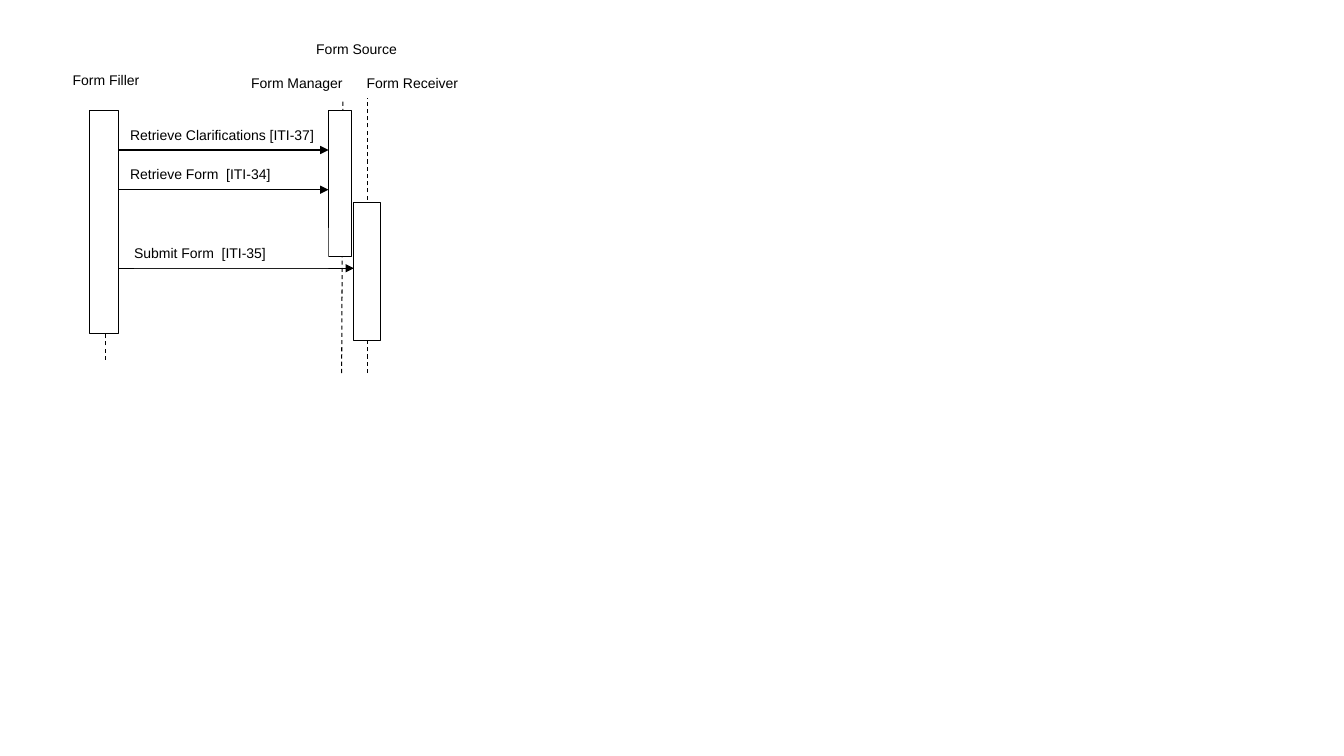
from pptx import Presentation
from pptx.dml.color import RGBColor
from pptx.enum.dml import MSO_LINE
from pptx.enum.shapes import MSO_CONNECTOR, MSO_SHAPE
from pptx.enum.text import MSO_ANCHOR, PP_ALIGN
from pptx.oxml.ns import qn
from pptx.util import Cm, Pt
from lxml import etree

BLACK = RGBColor(0, 0, 0)
WHITE = RGBColor(255, 255, 255)
RECT = MSO_SHAPE.RECTANGLE
STRAIGHT = MSO_CONNECTOR.STRAIGHT
DASH = MSO_LINE.DASH
LEFT = PP_ALIGN.LEFT
CENTER = PP_ALIGN.CENTER
TOP = MSO_ANCHOR.TOP

FILLER_EDGE = 3
MANAGER_EDGE = 8.28
RECEIVER_EDGE = 8.92


def add_rect(slide, left, top, width, height):
    rect = slide.shapes.add_shape(RECT, Cm(left), Cm(top), Cm(width), Cm(height))
    rect.shadow.inherit = False
    rect.fill.solid()
    rect.fill.fore_color.rgb = WHITE
    return rect


def set_text(frame, text, align):
    frame.word_wrap = True
    frame.vertical_anchor = TOP
    frame.text = text
    para = frame.paragraphs[0]
    para.alignment = align
    font = para.runs[0].font
    font.name = "Arial"
    font.size = Pt(10)
    font.color.rgb = BLACK


def add_label(slide, text, left, top, width, height, align, inset=0.42):
    label = add_rect(slide, left, top, width, height)
    label.line.fill.background()
    frame = label.text_frame
    frame.margin_left = frame.margin_right = frame.margin_bottom = 0
    frame.margin_top = Cm(inset)
    set_text(frame, text, align)


def add_actor(slide, text, left, top, width, inset=0.42):
    add_label(slide, text, left, top, width, 0.89, CENTER, inset)


def add_message(slide, text, left, top):
    add_label(slide, text, left, top, 4.9, 1.02, LEFT)


def add_heading(slide, text, left, top, width, height):
    box = slide.shapes.add_textbox(Cm(left), Cm(top), Cm(width), Cm(height))
    set_text(box.text_frame, text, LEFT)


def add_bar(slide, left, top, width, height):
    bar = add_rect(slide, left, top, width, height)
    bar.line.color.rgb = BLACK
    bar.line.width = Pt(0.75)


def add_line(slide, x1, y1, x2, y2):
    line = slide.shapes.add_connector(STRAIGHT, Cm(x1), Cm(y1), Cm(x2), Cm(y2))
    line.line.color.rgb = BLACK
    line.line.width = Pt(0.75)
    etree.SubElement(line._element.spPr, qn("a:effectLst"))
    return line


def add_lifeline(slide, x1, y1, x2, y2):
    add_line(slide, x1, y1, x2, y2).line.dash_style = DASH


def add_arrow(slide, end, y):
    arrow = add_line(slide, FILLER_EDGE, y, end, y)
    outline = arrow.line._get_or_add_ln()
    etree.SubElement(outline, qn("a:tailEnd"), type="triangle")


def main():
    deck = Presentation()
    deck.slide_width = Cm(33.87)
    deck.slide_height = Cm(19.05)
    slide = deck.slides.add_slide(deck.slide_layouts[6])

    add_message(slide, "Retrieve Form  [ITI-34]", 3.28, 3.76)
    add_actor(slide, "Form Filler", 1.35, 1.37, 2.64)
    add_lifeline(slide, 2.67, 9.07, 2.67, 2.79)
    add_actor(slide, "Form Manager", 6.17, 1.88, 2.62, 0)
    add_lifeline(slide, 8.61, 9.4, 8.64, 2.54)
    add_actor(slide, "Form Receiver", 9.12, 1.45, 2.54)
    add_bar(slide, 2.26, 2.79, 0.74, 5.61)
    add_message(slide, "Retrieve Clarifications [ITI-37]", 3.28, 2.77)
    add_arrow(slide, MANAGER_EDGE, 3.78)
    add_bar(slide, MANAGER_EDGE, 2.79, 0.58, 3.68)
    add_arrow(slide, RECEIVER_EDGE, 6.76)
    add_lifeline(slide, 9.25, 9.4, 9.25, 2.46)
    add_bar(slide, RECEIVER_EDGE, 5.11, 0.66, 3.48)
    add_heading(slide, "Form Source", 7.72, 0.89, 3.94, 1.02)
    add_arrow(slide, MANAGER_EDGE, 4.78)
    add_message(slide, "Submit Form  [ITI-35]", 3.38, 5.74)

    deck.save("out.pptx")


if __name__ == "__main__":
    main()
